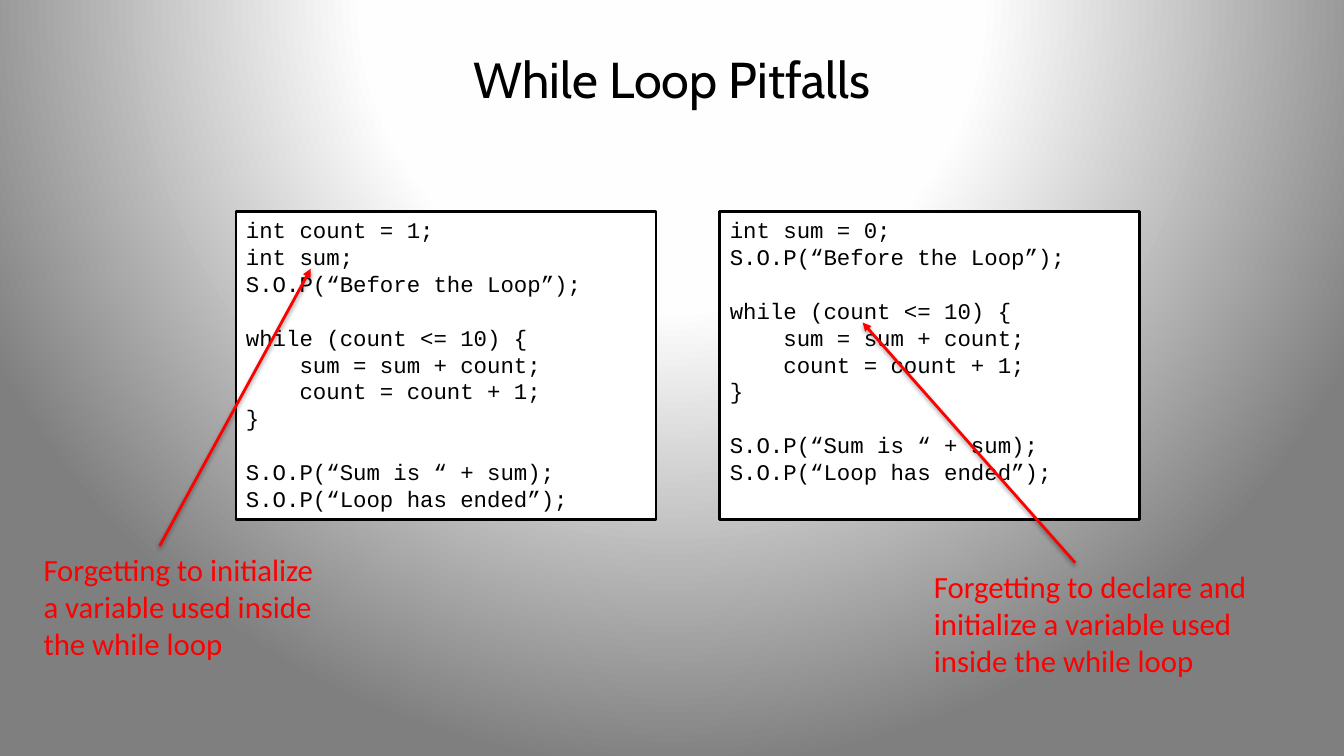
from lxml import etree
from pptx import Presentation
from pptx.dml.color import RGBColor
from pptx.enum.shapes import MSO_CONNECTOR, MSO_SHAPE
from pptx.enum.text import MSO_ANCHOR, PP_ALIGN
from pptx.oxml import parse_xml
from pptx.oxml.ns import nsdecls
from pptx.util import Inches, Pt

BLACK = RGBColor(0x00, 0x00, 0x00)
WHITE = RGBColor(0xFF, 0xFF, 0xFF)
RED = RGBColor(0xFF, 0x00, 0x00)
CODE_LINE = Pt(19)

# Grid of 160 columns by 90 rows of square cells
deck = Presentation()
deck.slide_width, deck.slide_height = Inches(40 / 3), Inches(7.5)
CELL = deck.slide_width / 160
slide = deck.slides.add_slide(deck.slide_layouts[6])


def grid(*cells):
    return [round(cell * CELL) for cell in cells]


def write_lines(frame, lines, font_name, size, color, align=PP_ALIGN.LEFT):
    """One paragraph per line; an empty line becomes space before the next."""
    gap = False
    started = False
    for line in lines:
        if not line:
            gap = True
            continue
        paragraph = frame.add_paragraph() if started else frame.paragraphs[0]
        started = True
        paragraph.text = line
        paragraph.alignment = align
        if gap:
            paragraph.space_before = CODE_LINE
        gap = False
        paragraph.font.name = font_name
        paragraph.font.size = Pt(size)
        paragraph.font.color.rgb = color


# Background: white glow from above the slide, fading to grey
stops = "".join(
    f'<a:gs pos="{share * 1000}"><a:srgbClr val="{color}"/></a:gs>'
    for share, color in [(0, "FFFFFF"), (40, "FEFEFE"), (100, "7F7F7F")])
background = parse_xml(
    f'<p:bg {nsdecls("p", "a")}><p:bgPr><a:gradFill rotWithShape="1">'
    f'<a:gsLst>{stops}</a:gsLst><a:path path="circle">'
    '<a:fillToRect l="50000" t="-80000" r="50000" b="180000"/></a:path>'
    '</a:gradFill><a:effectLst/></p:bgPr></p:bg>')
slide.element.cSld.insert(0, background)

# Title
title = slide.shapes.add_textbox(*grid(8, 3.6, 144, 11.4)).text_frame
title.word_wrap = True
title.vertical_anchor = MSO_ANCHOR.MIDDLE
write_lines(title, ["While Loop Pitfalls"], "Cabin", 36, BLACK, PP_ALIGN.CENTER)

# Each pitfall: code, its column, the note, the note's corner, the arrow's ends
loop_code = [
    "S.O.P(“Before the Loop”);",
    "",
    "while (count <= 10) {",
    "    sum = sum + count;",
    "    count = count + 1;",
    "}",
    "",
    "S.O.P(“Sum is “ + sum);",
    "S.O.P(“Loop has ended”);",
]
pitfalls = [
    (["int count = 1;", "int sum;"], 28.1,
     ["Forgetting to initialize", "a variable used inside", "the while loop"],
     (4, 65, 35.2, 14.5), (19, 65, 37, 32)),
    (["int sum = 0;"], 85.7,
     ["Forgetting to declare and", "initialize a variable used",
      "inside the while loop"],
     (110, 67, 40.3, 14.5), (128, 67, 102.7, 38.4)),
]

for declarations, column, note_lines, note_place, arrow_ends in pitfalls:
    # Code panel
    panel = slide.shapes.add_shape(
        MSO_SHAPE.RECTANGLE, *grid(column, 25.2, 50, 36.7))
    panel.shadow.inherit = False
    panel.fill.solid()
    panel.fill.fore_color.rgb = WHITE
    panel.line.color.rgb = BLACK
    panel.line.width = Pt(2)
    panel.text_frame.word_wrap = True
    panel.text_frame.vertical_anchor = MSO_ANCHOR.TOP
    write_lines(panel.text_frame, declarations + loop_code,
                "Courier New", 16, BLACK)

    # Note
    note = slide.shapes.add_textbox(*grid(*note_place)).text_frame
    note.word_wrap = False
    write_lines(note, note_lines, "Calibri", 22, RED)

    # Arrow from the note to the faulty variable, with a soft shadow
    arrow = slide.shapes.add_connector(MSO_CONNECTOR.STRAIGHT, *grid(*arrow_ends))
    arrow.line.color.rgb = RED
    arrow.line.width = Pt(2)
    head = parse_xml(f'<a:tailEnd {nsdecls("a")} type="arrow"/>')
    head.set("type", "triangle")
    arrow.line._get_or_add_ln().append(head)
    effects = parse_xml(f'<a:effectLst {nsdecls("a")}/>')
    shadow = etree.SubElement(
        effects, effects.tag.replace("effectLst", "outerShdw"),
        blurRad=str(Pt(3.1)), dist=str(Pt(1.6)), dir="5400000", rotWithShape="0")
    shadow.append(parse_xml(
        f'<a:srgbClr {nsdecls("a")} val="000000"><a:alpha val="38000"/></a:srgbClr>'))
    arrow.element.spPr.append(effects)

deck.save("out.pptx")
